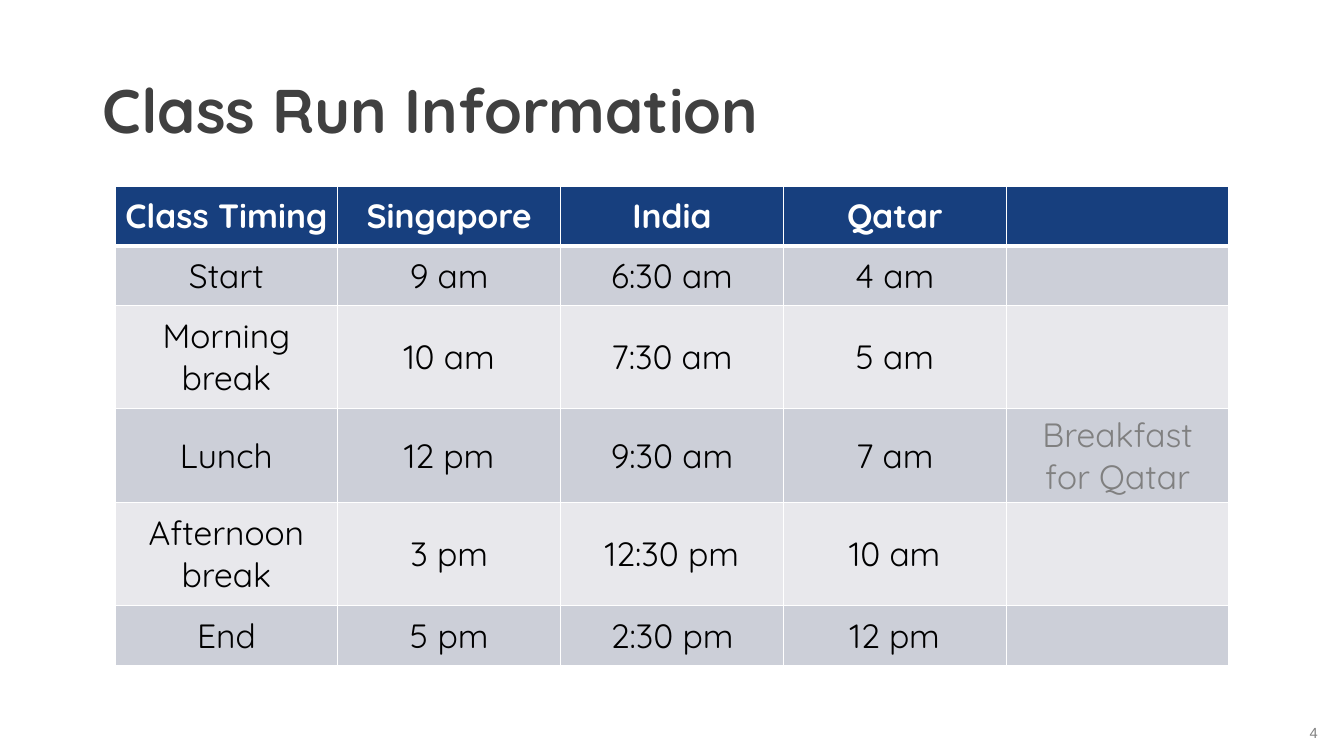
from lxml.etree import SubElement
from pptx import Presentation
from pptx.dml.color import RGBColor
from pptx.enum.text import MSO_ANCHOR as Anchor, PP_ALIGN as Align
from pptx.oxml.ns import qn
from pptx.util import Inches, Pt

TITLE = "Class Run Information"
PAGE_NUMBER = "4"
TIMINGS = [
    ("Class Timing", "Singapore", "India", "Qatar", ""),
    ("Start", "9 am", "6:30 am", "4 am", ""),
    ("Morning break", "10 am", "7:30 am", "5 am", ""),
    ("Lunch", "12 pm", "9:30 am", "7 am", "Breakfast for Qatar"),
    ("Afternoon break", "3 pm", "12:30 pm", "10 am", ""),
    ("End", "5 pm", "2:30 pm", "12 pm", ""),
]
ROW_HEIGHTS = [0.59, 0.59, 1.02, 0.94, 1.02, 0.59]
COLUMN_WIDTH = 2.21
NAVY, WHITE, BLACK = "173F7E", "FFFFFF", "000000"
GREY, CHARCOAL = "808080", "404040"
BANDS = ["E8E8EC", "CCCFD8"]


def color(value):
    return RGBColor.from_string(value)


def add_span(para, text, size, font, ink, bold=False):
    span = para.add_run()
    span.text = text
    span.font.size = Pt(size)
    span.font.name = font
    span.font.bold = bold
    span.font.color.rgb = color(ink)


def add_text(page, place, anchor, text, size, font, ink, bold=False):
    box = page.shapes.add_textbox(*map(Inches, place))
    frame = box.text_frame
    frame.word_wrap = True
    frame.vertical_anchor = anchor
    para = frame.paragraphs[0]
    para.line_spacing = 0.9 if bold else 1.0
    add_span(para, text, size, font, ink, bold)


def add_borders(cell, row):
    widths = {"a:lnL": 1, "a:lnR": 1, "a:lnT": 3 if row == 1 else 1, "a:lnB": 3 if row == 0 else 1}
    properties = cell._tc.get_or_add_tcPr()
    for side, width in widths.items():
        line = SubElement(properties, qn(side), w=str(Pt(width)))
        fill = SubElement(line, qn("a:solidFill"))
        SubElement(fill, qn("a:srgbClr"), val=WHITE)


def fill_cell(cell, row, column, text):
    add_borders(cell, row)
    header = row == 0
    cell.fill.solid()
    cell.fill.fore_color.rgb = color(NAVY if header else BANDS[row % 2])
    cell.vertical_anchor = Anchor.MIDDLE
    if text:
        para = cell.text_frame.paragraphs[0]
        para.alignment = Align.CENTER
        note = column == len(TIMINGS[0]) - 1
        ink = WHITE if header else GREY if note else BLACK
        add_span(para, text, 24, "Quicksand", ink, header)


def add_timings(page):
    columns = len(TIMINGS[0])
    place = (1.14, 1.85, COLUMN_WIDTH * columns, sum(ROW_HEIGHTS))
    table = page.shapes.add_table(len(TIMINGS), columns, *map(Inches, place)).table
    for column in table.columns:
        column.width = Inches(COLUMN_WIDTH)
    for row, texts in enumerate(TIMINGS):
        table.rows[row].height = Inches(ROW_HEIGHTS[row])
        for column, text in enumerate(texts):
            fill_cell(table.cell(row, column), row, column, text)


def main():
    deck = Presentation()
    deck.slide_width, deck.slide_height = Inches(13.33), Inches(7.5)
    page = deck.slides.add_slide(deck.slide_layouts[6])
    add_text(page, (0.92, 0.4, 11.5, 1.45), Anchor.MIDDLE, TITLE, 44, "Quicksand", CHARCOAL, True)
    add_text(page, (12.89, 7.13, 0.44, 0.37), Anchor.TOP, PAGE_NUMBER, 10.5, "Arial", GREY)
    add_timings(page)
    deck.save("out.pptx")


if __name__ == "__main__":
    main()
